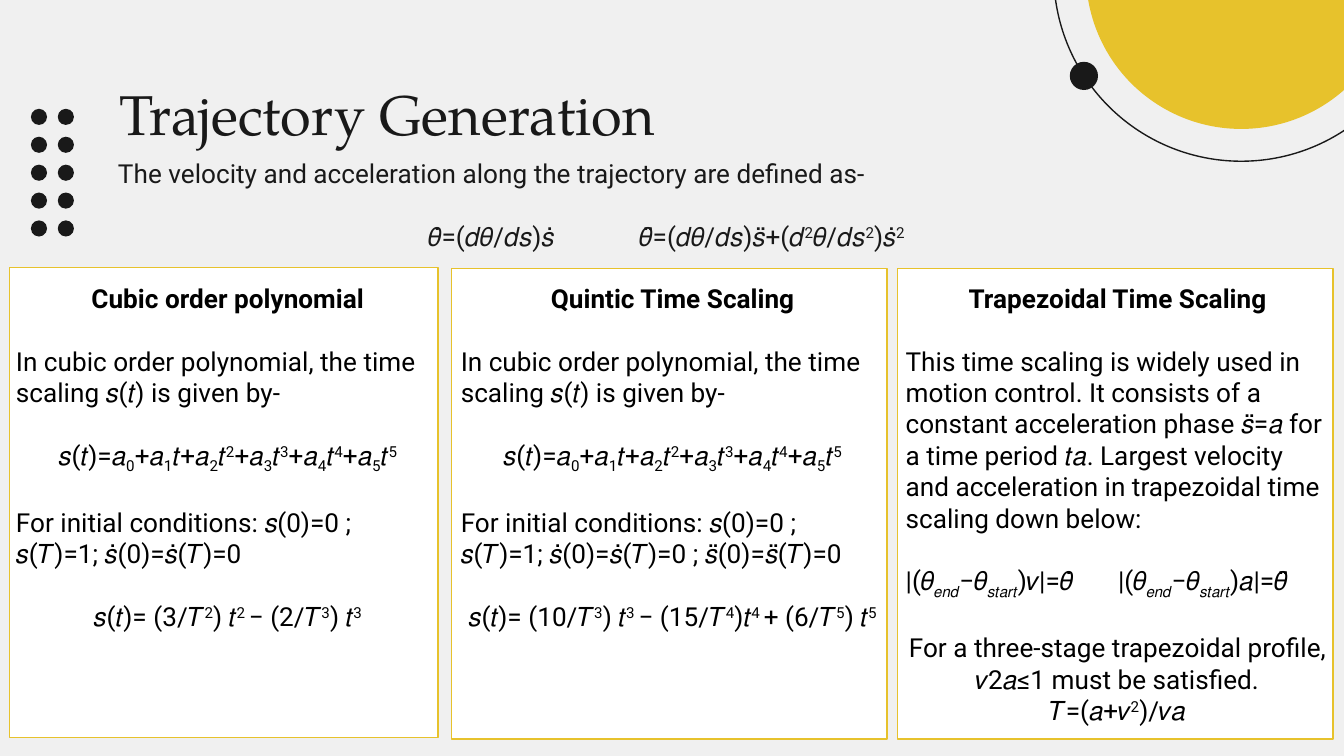
import dataclasses
import itertools
import lxml.etree
import pptx
import pptx.dml.color
import pptx.enum.shapes
import pptx.enum.text
import pptx.oxml.ns
import pptx.slide
import pptx.util

Inches = pptx.util.Inches
Align = pptx.enum.text.PP_ALIGN
Kind = pptx.enum.shapes.MSO_SHAPE


@dataclasses.dataclass(frozen=True)
class Theme:
    page: str = "F0F0F0"
    ink: str = "191919"
    black: str = "000000"
    gold: str = "E7C22C"
    white: str = "FFFFFF"
    serif: str = "TeX Gyre Pagella"
    sans: str = "Roboto"
    title: float = 30
    body: float = 14
    gap: float = 16.8
    line: float = 0.75


@dataclasses.dataclass(frozen=True)
class Box:
    left: float
    top: float
    width: float
    height: float


@dataclasses.dataclass(frozen=True)
class Para:
    text: str
    mid: bool = False
    bold: bool = False
    gap: bool = True
    tabs: tuple[float, ...] = ()


@dataclasses.dataclass(frozen=True)
class Card:
    frame: Box
    words: Box
    paras: tuple[Para, ...]


THEME = Theme()
SHIFTS = {"^": "30000", "_": "-25000"}
INTRO = Para("In cubic order polynomial, the time scaling 𝑠(𝑡) is given by-")
SERIES = Para(
    "𝑠(𝑡)=𝑎~_0~+𝑎~_1~𝑡+𝑎~_2~𝑡~^2~+𝑎~_3~𝑡~^3~+𝑎~_4~𝑡~^4~+𝑎~_5~𝑡~^5", mid=True)
START = "For initial conditions: 𝑠(0)=0 ; 𝑠(𝑇)=1; 𝑠̇(0)=𝑠̇(𝑇)=0"

LEAD = (
    Para("The velocity and acceleration along the trajectory are defined as-", gap=False),
    Para("\t𝜃̇=(𝑑𝜃/𝑑𝑠)𝑠̇\t𝜃̈=(𝑑𝜃/𝑑𝑠)𝑠̈+(𝑑~^2~𝜃/𝑑𝑠~^2~)𝑠̇~^2", tabs=(2.31, 3.88)),
)

CARDS = (
    Card(Box(0.07, 1.99, 3.19, 3.5), Box(0.02, 2, 3.35, 3.03), (
        Para("Cubic order polynomial", mid=True, bold=True, gap=False),
        INTRO,
        SERIES,
        Para(START),
        Para("𝑠(𝑡)= (3/𝑇~^2~) 𝑡~^2 ~− (2/𝑇~^3~) 𝑡~^3", mid=True),
    )),
    Card(Box(3.36, 2, 3.24, 3.5), Box(3.33, 2, 3.35, 3.27), (
        Para("Quintic Time Scaling", mid=True, bold=True, gap=False),
        INTRO,
        SERIES,
        Para(START + " ; 𝑠̈(0)=𝑠̈(𝑇)=0"),
        Para("𝑠(𝑡)= (10/𝑇~^3~) 𝑡~^3 ~− (15/𝑇~^4~)𝑡~^4 ~+ (6/𝑇~^5~) 𝑡~^5", mid=True),
    )),
    Card(Box(6.68, 2, 3.24, 3.5), Box(6.64, 2, 3.35, 3.5), (
        Para("Trapezoidal Time Scaling", mid=True, bold=True, gap=False),
        Para("This time scaling is widely used in motion control. It consists of a "
             "constant acceleration phase 𝑠̈=𝑎 for a time period 𝑡𝑎. Largest velocity "
             "and acceleration in trapezoidal time scaling down below:"),
        Para("|(𝜃~_𝑒𝑛𝑑~−𝜃~_𝑠𝑡𝑎𝑟𝑡~)𝑣|=𝜃̇\t|(𝜃~_𝑒𝑛𝑑~−𝜃~_𝑠𝑡𝑎𝑟𝑡~)𝑎|=𝜃̈", tabs=(1.58,)),
        Para("For a three-stage trapezoidal profile, 𝑣2𝑎≤1 must be satisfied.", mid=True),
        Para("𝑇=(𝑎+𝑣~^2~)/𝑣𝑎", mid=True, gap=False),
    )),
)


def tint(code: str) -> pptx.dml.color.RGBColor:
    return pptx.dml.color.RGBColor.from_string(code)


def place(box: Box) -> tuple[int, ...]:
    return tuple(Inches(n) for n in dataclasses.astuple(box))


def draw_shape(slide: pptx.slide.Slide, kind: Kind, box: Box,
               fill: str = "", line: str = "") -> None:
    shape = slide.shapes.add_shape(kind, *place(box))
    shape.shadow.inherit = False
    if fill:
        shape.fill.solid()
        shape.fill.fore_color.rgb = tint(fill)
    else:
        shape.fill.background()
    if line:
        shape.line.color.rgb = tint(line)
        shape.line.width = pptx.util.Pt(THEME.line)
    else:
        shape.line.fill.background()


def draw_text(slide: pptx.slide.Slide, box: Box, paras: tuple[Para, ...],
              face: str, size: float, ink: str) -> None:
    qn = pptx.oxml.ns.qn
    frame = slide.shapes.add_textbox(*place(box)).text_frame
    frame.word_wrap = True
    frame.margin_left = frame.margin_right = Inches(0.1)
    frame.margin_top = frame.margin_bottom = Inches(0.1)
    for rank, item in enumerate(paras):
        para = frame.add_paragraph() if rank else frame.paragraphs[0]
        para.alignment = Align.CENTER if item.mid else Align.LEFT
        para.space_before = pptx.util.Pt(THEME.gap if item.gap else 0)
        if item.tabs:
            stops = lxml.etree.SubElement(para._p.get_or_add_pPr(), qn("a:tabLst"))
            for stop in item.tabs:
                lxml.etree.SubElement(stops, qn("a:tab"), pos=str(Inches(stop)), algn="l")
        for piece in item.text.split("~"):
            shift = SHIFTS.get(piece[0])
            run = para.add_run()
            run.text = piece[1:] if shift else piece
            run.font.name = face
            run.font.size = pptx.util.Pt(size)
            run.font.bold = item.bold
            run.font.color.rgb = tint(ink)
            props = run._r.get_or_add_rPr()
            for tag in ("a:ea", "a:cs"):
                lxml.etree.SubElement(props, qn(tag), typeface=face)
            if shift:
                props.set("baseline", shift)


def main() -> None:
    deck = pptx.Presentation()
    deck.slide_width = Inches(10)
    deck.slide_height = deck.slide_width * 9 // 16
    slide = deck.slides.add_slide(deck.slide_layouts[6])
    slide.background.fill.solid()
    slide.background.fill.fore_color.rgb = tint(THEME.page)

    for card in reversed(CARDS):
        draw_shape(slide, Kind.RECTANGLE, card.frame, THEME.white, THEME.gold)

    title = (Para("Trajectory Generation", gap=False),)
    draw_text(slide, Box(0.79, 0.49, 8.43, 0.63), title, THEME.serif, THEME.title, THEME.ink)
    draw_text(slide, Box(0.78, 1.07, 8.26, 1), LEAD, THEME.sans, THEME.body, THEME.ink)

    draw_shape(slide, Kind.OVAL, Box(7.84, -1.59, 2.79, 2.79), line=THEME.ink)
    draw_shape(slide, Kind.OVAL, Box(7.96, 0.46, 0.21, 0.21), THEME.ink)
    for row, col in itertools.product(range(5), range(2)):
        dot = Box(0.23 + 0.2 * col, 0.81 + 0.83 * row / 4, 0.12, 0.12)
        draw_shape(slide, Kind.OVAL, dot, THEME.ink)
    draw_shape(slide, Kind.OVAL, Box(8.08, -1.35, 2.31, 2.31), THEME.gold)

    for card in CARDS:
        draw_text(slide, card.words, card.paras, THEME.sans, THEME.body, THEME.black)

    deck.save("out.pptx")


if __name__ == "__main__":
    main()
